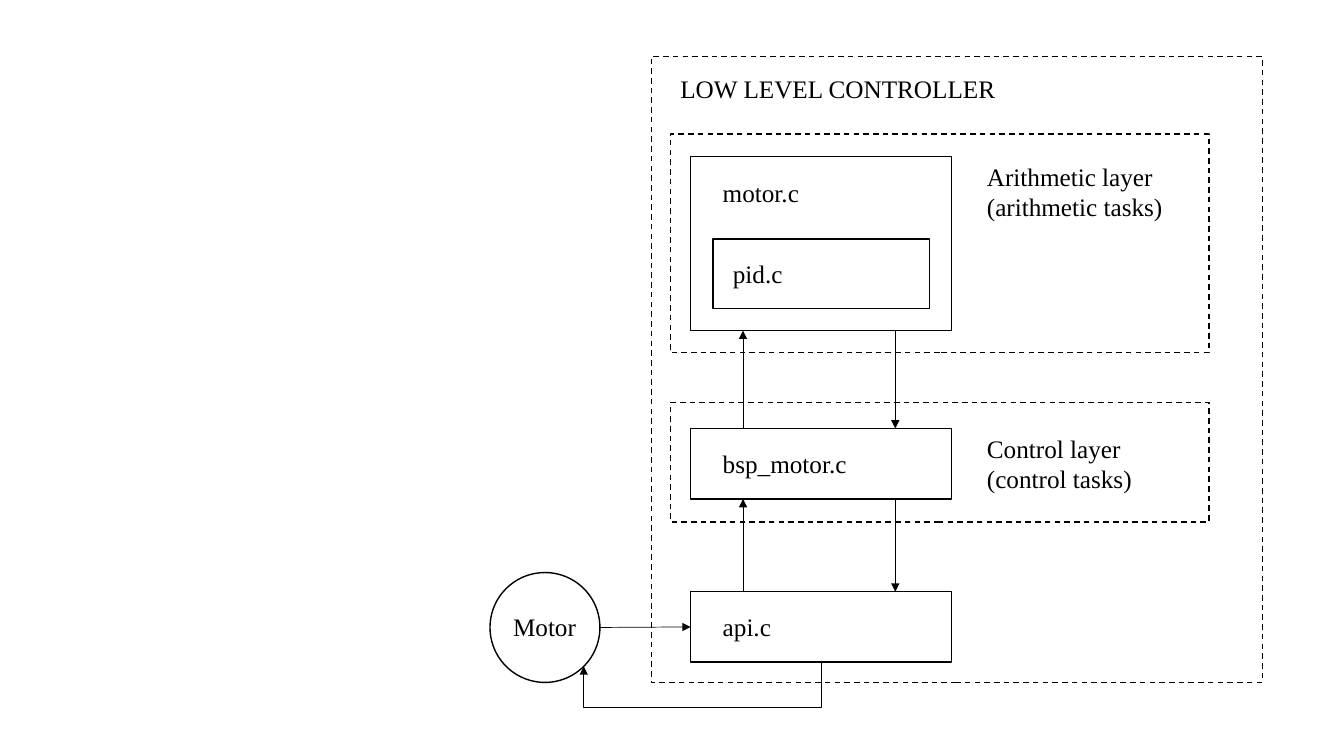
from dataclasses import dataclass

from lxml.etree import SubElement
from pptx import Presentation
from pptx.dml.color import RGBColor
from pptx.enum.dml import MSO_LINE
from pptx.enum.shapes import MSO_CONNECTOR, MSO_SHAPE
from pptx.enum.text import MSO_AUTO_SIZE
from pptx.oxml.ns import qn
from pptx.util import Inches, Pt


@dataclass(frozen=True)
class Theme:
    """Colours, type and line widths of the diagram."""
    ink: RGBColor = RGBColor(0, 0, 0)
    paper: RGBColor = RGBColor(255, 255, 255)
    font: str = "Times New Roman"
    text_size: float = 18
    outline: float = 1
    arrow: float = 0.5


def cells(*counts):
    """Convert counts of grid cells, ten to the inch, to lengths."""
    return [Inches(count / 10) for count in counts]


class Diagram:
    """Draws styled elements on one page, measured in grid columns and rows."""

    def __init__(self, page, theme):
        """Keep the page and theme, and paint the background."""
        self.shapes, self.theme = page.shapes, theme
        page.background.fill.solid()
        page.background.fill.fore_color.rgb = theme.paper

    def outline(self, column, row, width, height, kind=MSO_SHAPE.RECTANGLE, dashed=False):
        """Draw an unfilled outline shape."""
        shape = self.shapes.add_shape(kind, *cells(column, row, width, height))
        shape.shadow.inherit = False
        shape.fill.background()
        shape.line.color.rgb = self.theme.ink
        shape.line.width = Pt(self.theme.outline)
        if dashed:
            shape.line.dash_style = MSO_LINE.DASH

    def label(self, text, column, row, width, height=4):
        """Place unwrapped text, one paragraph a line."""
        box = self.shapes.add_textbox(*cells(column, row, width, height))
        frame = box.text_frame
        frame.text = text
        frame.word_wrap = False
        frame.auto_size = MSO_AUTO_SIZE.SHAPE_TO_FIT_TEXT
        for para in frame.paragraphs:
            for span in para.runs:
                span.font.name = self.theme.font
                span.font.size = Pt(self.theme.text_size)
                span.font.color.rgb = self.theme.ink

    def arrow(self, start, end, kind=MSO_CONNECTOR.STRAIGHT):
        """Connect two points with an arrowhead at the end."""
        link = self.shapes.add_connector(kind, *cells(*start, *end))
        link.line.color.rgb = self.theme.ink
        link.line.width = Pt(self.theme.arrow)
        SubElement(link.line._get_or_add_ln(), qn("a:tailEnd"), type="triangle")
        SubElement(link._element.spPr, qn("a:effectLst"))
        return link

    def loop_arrow(self, start, end, drop):
        """Run an elbow arrow down by drop, left, and up to the end."""
        (start_column, start_row), (end_column, end_row) = start, end
        span, rise = start_column - end_column, end_row - start_row
        middle_column = (start_column + end_column) / 2
        middle_row = (start_row + end_row) / 2
        # A quarter turn swaps the width and height about the shared centre.
        link = self.arrow((middle_column - rise / 2, middle_row - span / 2),
                          (middle_column + rise / 2, middle_row + span / 2),
                          MSO_CONNECTOR.ELBOW)
        properties = link._element.spPr
        properties.find(qn("a:xfrm")).set("rot", str(90 * 60000))
        geometry = properties.find(qn("a:prstGeom"))
        guides = geometry.find(qn("a:avLst"))
        if guides is None:
            guides = SubElement(geometry, qn("a:avLst"))
        SubElement(guides, qn("a:gd"), name="adj1",
                   fmla=f"val {round(drop / rise * 100000)}")


MODULE_LEFT, MODULE_WIDTH, MODULE_HEIGHT = 68.5, 25.9, 7
LAYER_LEFT, LAYER_WIDTH = 66.5, 53.4
UP_COLUMN, DOWN_COLUMN = 73.7, 88.8
LABEL_INDENT, LABEL_DROP = 2.2, 1.5

# Name, top row, height, label width, label drop
MODULES = [
    ("motor.c", 15.5, 17.3, 9.7, 1.6),
    ("bsp_motor.c", 42.5, MODULE_HEIGHT, 14.4, LABEL_DROP),
    ("api.c", 58.7, MODULE_HEIGHT, 7, LABEL_DROP),
]
# Text, top row, height, label row, label width, label height
LAYERS = [
    ("Arithmetic\u00a0layer\n(arithmetic\u00a0tasks)", 13.3, 21.7, 15.5, 20.3, 10.1),
    ("Control\u00a0layer\n(control tasks)", 39.9, 11.9, 42.5, 16.5, 7.1),
]


def draw_controller(diagram):
    """Draw the controller frame, its layers and its modules."""
    diagram.outline(64.6, 5.6, 60.6, 62.1, dashed=True)
    diagram.label("LOW LEVEL CONTROLLER", LAYER_LEFT, 6.8, 33.6)
    for text, top, height, label_row, label_width, label_height in LAYERS:
        diagram.outline(LAYER_LEFT, top, LAYER_WIDTH, height, dashed=True)
        diagram.label(text, 96.9, label_row, label_width, label_height)
    for name, top, height, label_width, drop in MODULES:
        diagram.outline(MODULE_LEFT, top, MODULE_WIDTH, height)
        diagram.label(name, MODULE_LEFT + LABEL_INDENT, top + drop, label_width)
    diagram.outline(MODULE_LEFT + LABEL_INDENT, 23.7,
                    MODULE_WIDTH - 2 * LABEL_INDENT, 6.9)
    diagram.label("pid.c", 71.7, 25.1, 7.2)


def draw_motor(diagram):
    """Draw the motor and its two links with the lowest module."""
    left, top, size = 48.6, 56.8, 10.9
    diagram.outline(left, top, size, size, MSO_SHAPE.OVAL)
    diagram.label("Motor", 49.9, 60.2, 8.3)
    api_top = MODULES[-1][1]
    api_middle, api_bottom = api_top + MODULE_HEIGHT / 2, api_top + MODULE_HEIGHT
    diagram.arrow((left + size, top + size / 2), (MODULE_LEFT, api_middle))
    diagram.loop_arrow((MODULE_LEFT + MODULE_WIDTH / 2, api_bottom), (57.9, 66.1), 4.5)


def draw_exchanges(diagram):
    """Link each module with the next by an arrow up and an arrow down."""
    for upper, lower in zip(MODULES, MODULES[1:]):
        bottom, top = upper[1] + upper[2], lower[1]
        diagram.arrow((UP_COLUMN, top), (UP_COLUMN, bottom))
        diagram.arrow((DOWN_COLUMN, bottom), (DOWN_COLUMN, top))


deck = Presentation()
deck.slide_width, deck.slide_height = Inches(13.33), Inches(7.5)
page = deck.slides.add_slide(deck.slide_layouts[6])
diagram = Diagram(page, Theme())
draw_controller(diagram)
draw_motor(diagram)
draw_exchanges(diagram)
deck.save("out.pptx")
